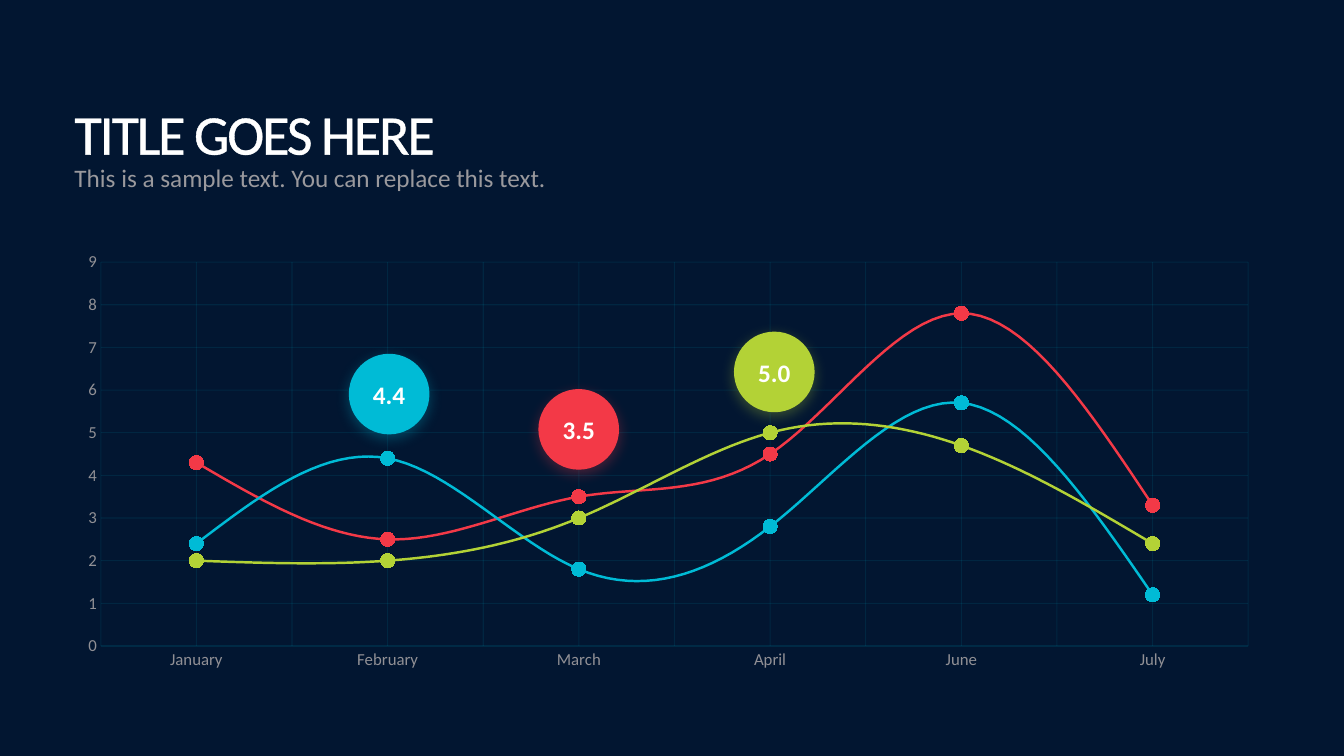
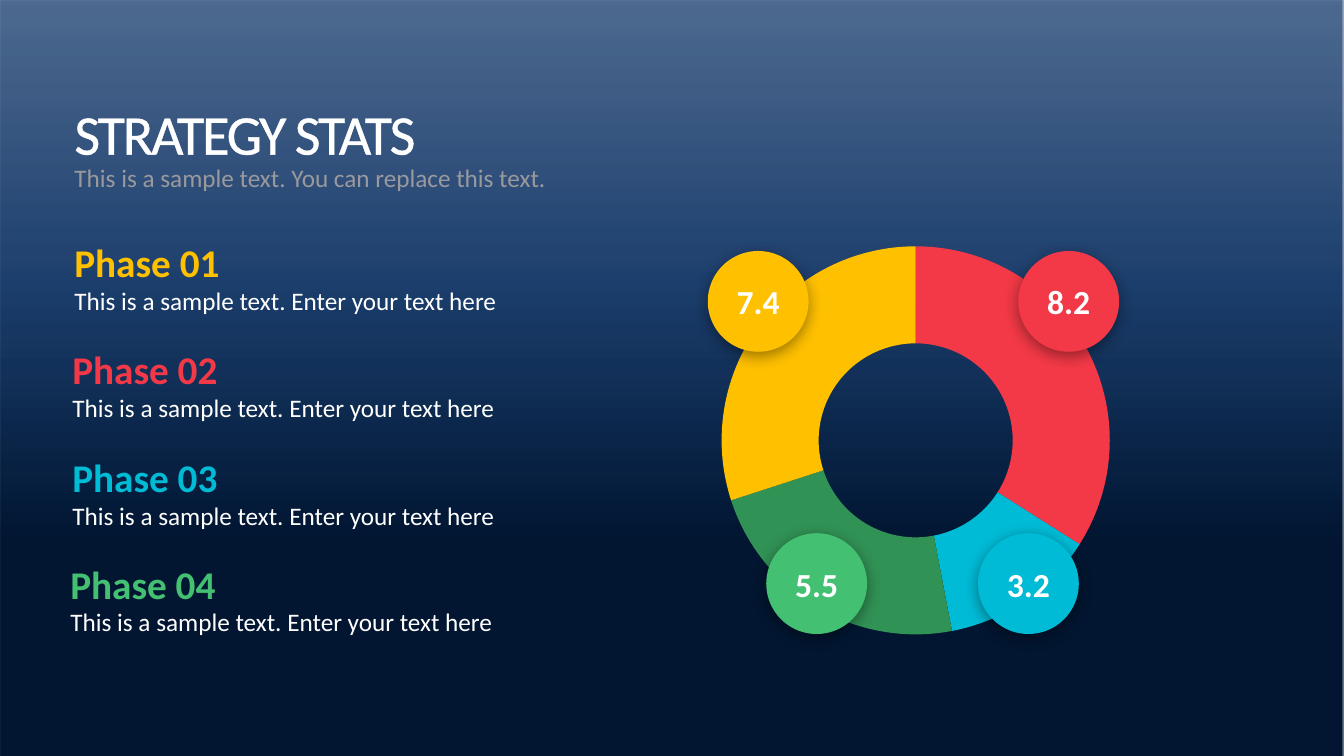
import copy
import pptx
import pptx.util
import pptx.chart.data
import pptx.dml.color
import pptx.enum.chart
import pptx.enum.shapes
import pptx.enum.text
import pptx.oxml
import pptx.oxml.ns

Pt = pptx.util.Pt
RGB = pptx.dml.color.RGBColor
qn = pptx.oxml.ns.qn
KIND = pptx.enum.chart.XL_CHART_TYPE
SHAPE = pptx.enum.shapes.MSO_SHAPE
SCALE = 9144
WIDE, HIGH = 1333, 750
FONT = "Calibri"

NAVY = RGB(0x02, 0x16, 0x31)
WHITE = RGB(0xFF, 0xFF, 0xFF)
BLACK = RGB(0x00, 0x00, 0x00)
GREY = RGB(0x9A, 0x99, 0x9D)
LABEL = RGB(0x91, 0x90, 0x95)
SLATE = RGB(0x57, 0x56, 0x5A)
RED = RGB(0xF3, 0x39, 0x47)
CYAN = RGB(0x00, 0xBB, 0xD6)
LIME = RGB(0xB3, 0xD2, 0x36)
GREEN = RGB(0x44, 0xC0, 0x72)
FOREST = RGB(0x31, 0x92, 0x55)
GOLD = RGB(0xFF, 0xC0, 0x00)

SUBTITLE = "This is a sample text. You can replace this text."
MONTHS = ["January", "February", "March", "April", "June", "July"]
TRENDS = [
    ("Series 1", [4.3, 2.5, 3.5, 4.5, 7.8, 3.3], RED),
    ("Series 2", [2.4, 4.4, 1.8, 2.8, 5.7, 1.2], CYAN),
    ("Series 3", [2, 2, 3, 5, 4.7, 2.4], LIME),
]
PEAKS = [("4.4", 346, 351, CYAN), ("3.5", 534, 386, RED), ("5.0", 728, 329, LIME)]
SHARES = [("1", 34, RED), ("2", 13, CYAN), ("3", 23, FOREST), ("4", 30, GOLD)]
SCORES = [
    ("3.2", 970, 529, CYAN),
    ("8.2", 1010, 249, RED),
    ("5.5", 760, 529, GREEN),
    ("7.4", 702, 249, GOLD),
]
PHASES = [
    ("Phase 01", 64, GOLD),
    ("Phase 02", 62, RED),
    ("Phase 03", 62, CYAN),
    ("Phase 04", 60, GREEN),
]
DETAIL = "This is a sample text. Enter your text here"
STOPS = [(28, NAVY, 100), (62, RGB(0x04, 0x2A, 0x5D), 90), (100, RGB(0x04, 0x2C, 0x62), 70)]


def px(*sizes):
    return [round(size * SCALE) for size in sizes]


def make(body):
    head, tail = body.split(">", 1) if not body.split(">", 1)[0].endswith("/") else (body[:-2], None)
    names = pptx.oxml.ns.nsdecls("a", "c")
    return pptx.oxml.parse_xml(f"{head} {names}/>" if tail is None else f"{head} {names}>{tail}")


def tint(color, alpha):
    return f'<a:srgbClr val="{color}"><a:alpha val="{alpha * 1000}"/></a:srgbClr>'


def style(font, size, color, bold=False):
    font.name, font.size, font.bold = FONT, Pt(size), bold
    font.color.rgb = color


def write(shapes, text, box, size, color, bold=False, wrap=False):
    frame = shapes.add_textbox(*px(*box)).text_frame
    frame.word_wrap = wrap
    frame.auto_size = pptx.enum.text.MSO_AUTO_SIZE.SHAPE_TO_FIT_TEXT
    para = frame.paragraphs[0]
    para.text = text
    style(para.font, size, color, bold)
    return para


def start(deck, title, width, back):
    slide = deck.slides.add_slide(deck.slide_layouts[6])
    slide.background.fill.solid()
    slide.background.fill.fore_color.rgb = back
    if back == WHITE:
        shade(slide)
    para = write(slide.shapes, title, (64, 93, width, 77), 40, WHITE)
    props = para.font._rPr
    props.set("spc", "-150")
    props.insert(0, make(f'<a:ln w="3175"><a:solidFill>{tint(WHITE, 100)}</a:solidFill></a:ln>'))
    write(slide.shapes, SUBTITLE, (64, 156, 499, 40), 18, GREY)
    return slide


def shade(slide):
    panel = slide.shapes.add_shape(SHAPE.RECTANGLE, *px(0, 0, WIDE, HIGH))
    panel.shadow.inherit = False
    panel.line.fill.background()
    stops = "".join(f'<a:gs pos="{at * 1000}">{tint(color, alpha)}</a:gs>' for at, color, alpha in STOPS)
    grad = make(f'<a:gradFill rotWithShape="1"><a:gsLst>{stops}</a:gsLst><a:lin ang="16200000" scaled="0"/></a:gradFill>')
    panel._element.spPr.find(qn("a:prstGeom")).addnext(grad)


def badge(slide, item, side, size, glow, alpha, blur):
    text, left, top, color = item
    disc = slide.shapes.add_shape(SHAPE.OVAL, *px(left, top, side, side))
    disc.fill.solid()
    disc.fill.fore_color.rgb = color
    disc.line.fill.background()
    disc.shadow.inherit = False
    disc._element.spPr.find(qn("a:effectLst")).append(make(
        f'<a:outerShdw blurRad="{Pt(blur)}" dist="{Pt(3)}" dir="5400000" algn="t" rotWithShape="0">'
        f"{tint(glow, alpha)}</a:outerShdw>"))
    frame = disc.text_frame
    frame.vertical_anchor = pptx.enum.text.MSO_ANCHOR.MIDDLE
    para = frame.paragraphs[0]
    para.text = text
    para.alignment = pptx.enum.text.PP_ALIGN.CENTER
    style(para.font, size, WHITE, True)


def plot(slide, kind, box, names, rows, area):
    data = pptx.chart.data.CategoryChartData()
    data.categories = names
    for name, values in rows:
        data.add_series(name, values)
    chart = slide.shapes.add_chart(kind, *px(*box), data).chart
    chart.has_legend = chart.has_title = False
    style(chart.font, 10, SLATE)
    zone = chart._chartSpace.find(".//" + qn("c:plotArea"))
    for old in zone.findall(qn("c:layout")):
        zone.remove(old)
    sizes = "".join(f'<c:{key} val="{value}"/>' for key, value in zip("xywh", area))
    zone.insert(0, make(
        '<c:layout><c:manualLayout><c:layoutTarget val="inner"/><c:xMode val="edge"/>'
        f'<c:yMode val="edge"/>{sizes}</c:manualLayout></c:layout>'))
    return chart


def thin(line):
    line.color.rgb = CYAN
    line.width = Pt(0.75)


def grid(axis, edge):
    axis.has_major_gridlines = True
    axis.major_tick_mark = axis.minor_tick_mark = pptx.enum.chart.XL_TICK_MARK.NONE
    thin(axis.major_gridlines.format.line)
    if edge:
        thin(axis.format.line)
    else:
        axis.format.line.fill.background()
    for color in axis._element.iter(qn("a:srgbClr")):
        color.append(make('<a:alpha val="10000"/>'))
    style(axis.tick_labels.font, 12, LABEL)


def trend(deck):
    slide = start(deck, "TITLE GOES HERE", 379, NAVY)
    rows = [(name, values) for name, values, _ in TRENDS]
    chart = plot(slide, KIND.LINE_MARKERS, (64, 243, 1198, 428), MONTHS, rows, (0.03, 0.04, 0.95, 0.89))
    chart.plots[0].vary_by_categories = False
    across, up = chart.category_axis, chart.value_axis
    grid(across, True)
    grid(up, False)
    up.minimum_scale, up.maximum_scale, up.major_unit = 0, 9, 1
    across.has_minor_gridlines = True
    major, minor = (across._element.find(qn(f"c:{rank}Gridlines")) for rank in ("major", "minor"))
    minor.append(copy.deepcopy(major[0]))
    for series, (_, _, color) in zip(chart.series, TRENDS):
        series.smooth = True
        series.format.line.color.rgb = color
        series.format.line.width = Pt(1.75)
        mark = series.marker
        mark.style, mark.size = pptx.enum.chart.XL_MARKER_STYLE.CIRCLE, 10
        mark.format.fill.solid()
        mark.format.fill.fore_color.rgb = color
        mark.format.line.color.rgb = NAVY
    for peak in PEAKS:
        badge(slide, peak, 80, 18, peak[-1], 30, 10)


def stats(deck):
    slide = start(deck, "STRATEGY STATS", 360, WHITE)
    names, values, colors = zip(*SHARES)
    chart = plot(slide, KIND.DOUGHNUT, (684, 232, 444, 414), names, [("Series 1", values)],
                 (0.07, 0.03, 0.87, 0.93))
    chart._chartSpace.find(".//" + qn("c:holeSize")).set("val", "75")
    for rank, color in enumerate(colors):
        look = chart.series[0].points[rank].format
        look.fill.solid()
        look.fill.fore_color.rgb = color
        look.line.fill.background()
    for score in SCORES:
        badge(slide, score, 100, 24, BLACK, 40, 11)
    for rank, (name, left, color) in enumerate(PHASES):
        top = 232 + round(rank * 319 / 3)
        group = slide.shapes.add_group_shape().shapes
        write(group, DETAIL, (left, top + 46, 713, 40), 18, WHITE, wrap=True)
        write(group, name, (left, top, 616, 57), 28, color, True, True)


def main():
    deck = pptx.Presentation()
    deck.slide_width, deck.slide_height = px(WIDE, HIGH)
    trend(deck)
    stats(deck)
    deck.save("out.pptx")


if __name__ == "__main__":
    main()
